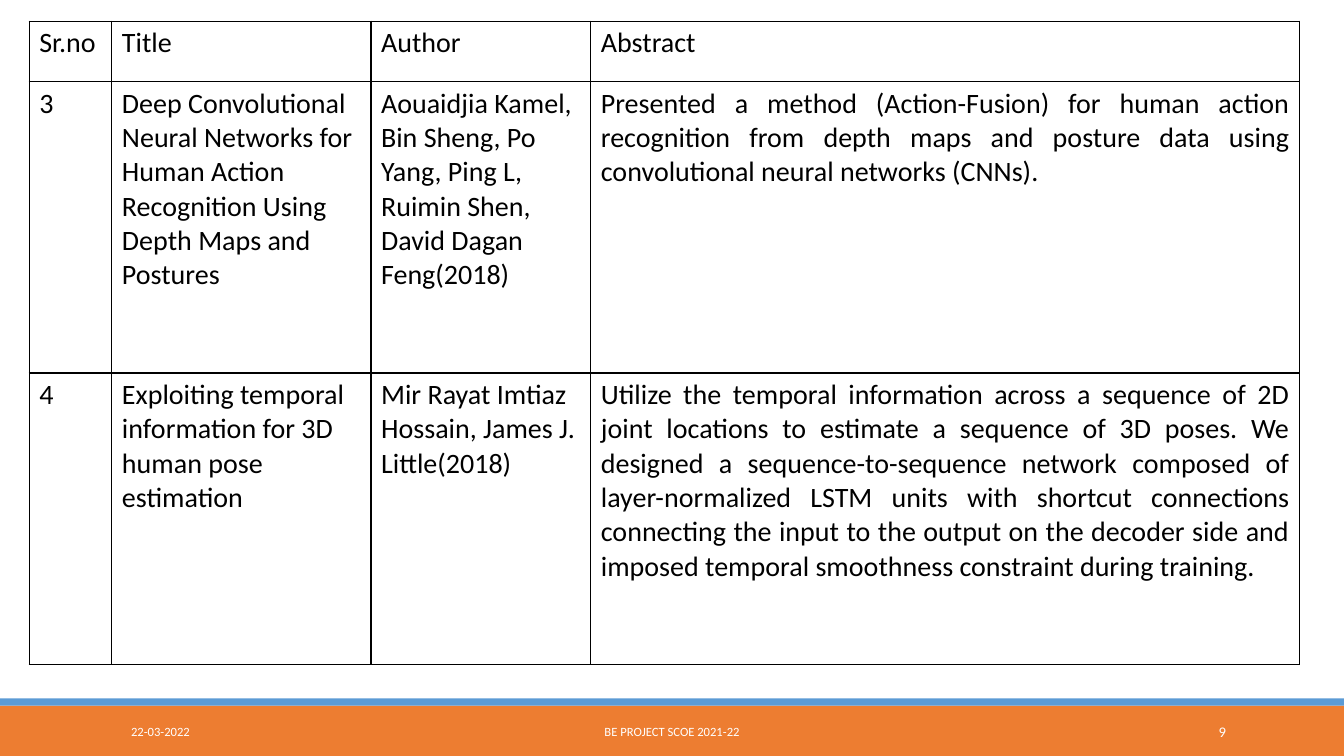
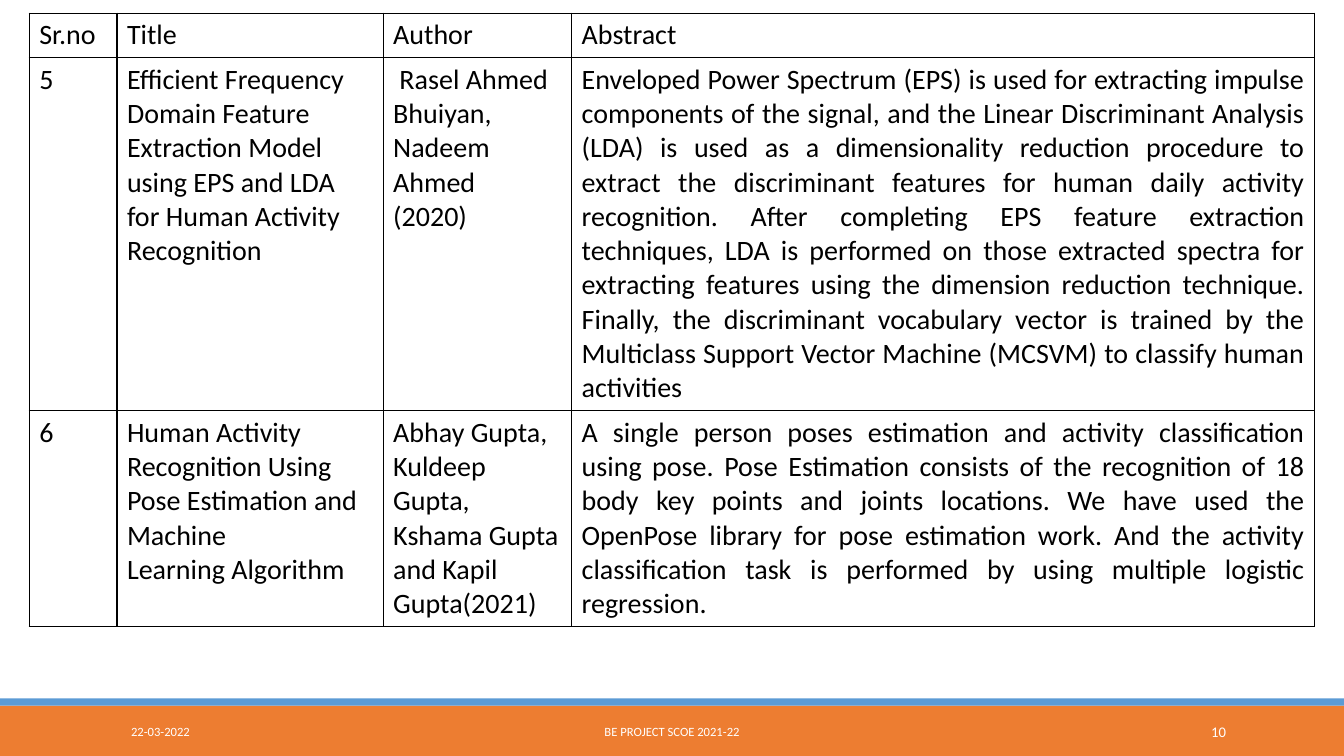
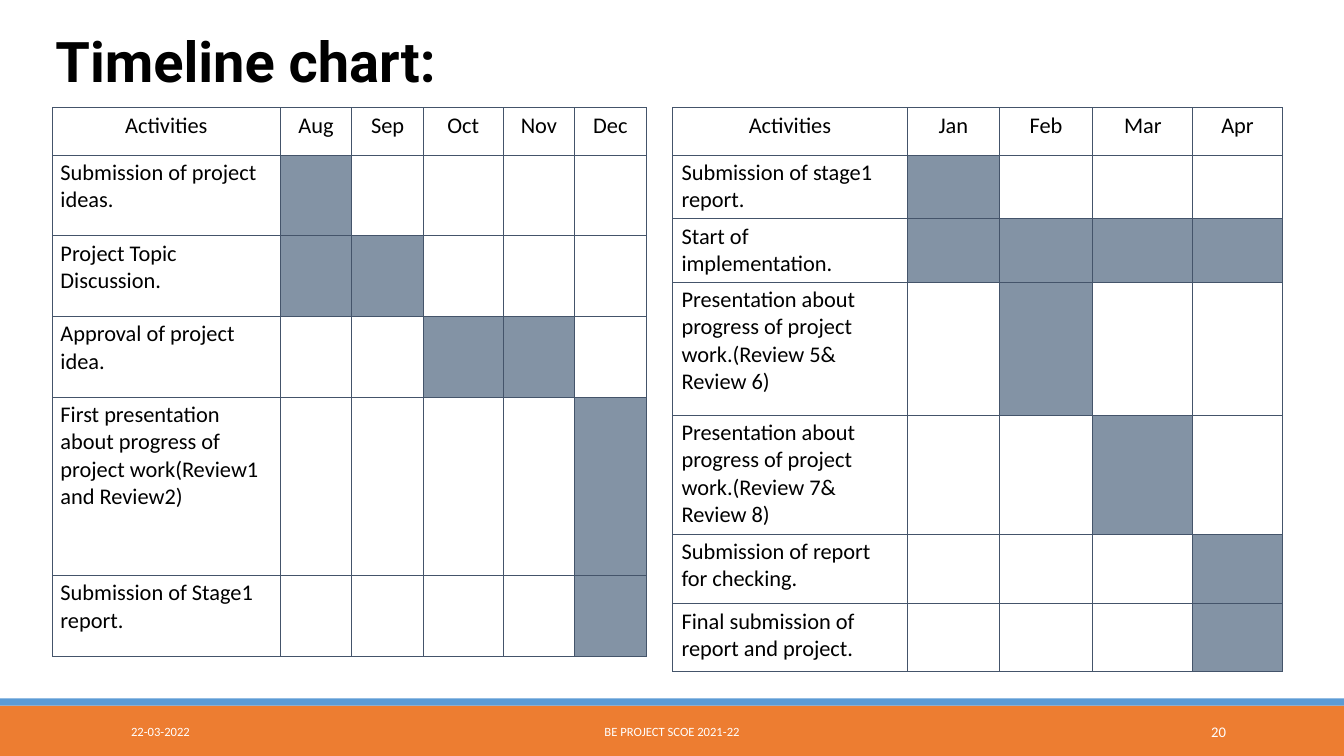
"""Build the literature survey and timeline slides of a project presentation."""
import copy

from lxml import etree
from pptx import Presentation
from pptx.dml.color import RGBColor
from pptx.enum import shapes, text
from pptx.oxml.ns import qn
from pptx.util import Inches, Pt

COLORS = {
    "band": "ED7D31",
    "stripe": "5B9BD5",
    "text": "000000",
    "footer": "FFFFFF",
    "survey_line": "000000",
    "timeline_line": "44546A",
    "busy": "8393A5",
}
ALIGN = text.PP_ALIGN


def style(paragraph, size, color, font="Calibri", align=ALIGN.LEFT, bold=False):
    paragraph.alignment = align
    for run in paragraph.runs:
        run.font.size = Pt(size)
        run.font.name = font
        run.font.bold = bold
        run.font.color.rgb = RGBColor.from_string(COLORS[color])


def add_grid(slide, left, top, widths, heights, line, line_width, margins):
    table = slide.shapes.add_table(
        len(heights), len(widths), Inches(left), Inches(top),
        Inches(sum(widths)), Inches(sum(heights))).table
    table.first_row = table.horz_banding = False
    for column, width in zip(table.columns, widths):
        column.width = Inches(width)
    for row, height in zip(table.rows, heights):
        row.height = Inches(height)
    for cell in table.iter_cells():
        cell.margin_left = cell.margin_right = Inches(margins[0])
        cell.margin_top = cell.margin_bottom = Inches(margins[1])
        properties = cell._tc.get_or_add_tcPr()
        for side in ("a:lnL", "a:lnR", "a:lnT", "a:lnB"):
            border = etree.SubElement(properties, qn(side), w=str(Pt(line_width)))
            fill = etree.SubElement(border, qn("a:solidFill"))
            etree.SubElement(fill, qn("a:srgbClr"), val=COLORS[line])
        cell.fill.background()
    return table


prs = Presentation()
prs.slide_width = Inches(13.33)
prs.slide_height = Inches(7.5)
title_only, blank = prs.slide_layouts[5], prs.slide_layouts[6]

pages = []
for layout, number in ((blank, "9"), (blank, "10"), (title_only, "20")):
    page = prs.slides.add_slide(layout)
    pages.append(page)
    footers = (
        (10, "22-03-2022", 1.2, 2.7, 9, ALIGN.LEFT),
        (11, "BE PROJECT SCOE 2021-22", 4.03, 5.27, 9, ALIGN.CENTER),
        (12, number, 10.83, 1.43, 10.5, ALIGN.RIGHT),
    )
    layout_parts = {part.placeholder_format.idx: part for part in layout.placeholders}
    for idx, words, left, width, size, align in footers:
        page.shapes._spTree.append(copy.deepcopy(layout_parts[idx]._element))
        footer = page.placeholders[idx]
        footer.left, footer.top = Inches(left), Inches(7.06)
        footer.width, footer.height = Inches(width), Inches(0.4)
        footer.text_frame.text = words
        footer.text_frame.vertical_anchor = text.MSO_ANCHOR.MIDDLE
        style(footer.text_frame.paragraphs[0], size, "footer", align=align)

master_tree = prs.slide_master.shapes._spTree
for order, (color, top, height) in enumerate((("band", 7, 0.5), ("stripe", 6.93, 0.07))):
    band = pages[0].shapes.add_shape(
        shapes.MSO_SHAPE.RECTANGLE, 0, Inches(top), prs.slide_width, Inches(height))
    band.shadow.inherit = False
    band.fill.solid()
    band.fill.fore_color.rgb = RGBColor.from_string(COLORS[color])
    band.line.fill.background()
    band._element.nvSpPr.cNvPr.set("id", str(20 + order))
    master_tree.insert(2 + order, band._element)

survey_header = ("Sr.no", "Title", "Author", "Abstract")
surveys = (
    (0.21, (0.82, 2.57, 2.18, 7.03), (0.6, 2.89, 2.89), (
        ("3",
         "Deep Convolutional Neural Networks for Human Action Recognition Using "
         "Depth Maps and Postures",
         "Aouaidjia Kamel, Bin Sheng, Po Yang, Ping L, Ruimin Shen, "
         "David Dagan Feng(2018)",
         "Presented a method (Action-Fusion) for human action recognition from depth "
         "maps and posture data using convolutional neural networks (CNNs)."),
        ("4",
         "Exploiting temporal information for 3D human pose estimation",
         "Mir Rayat Imtiaz Hossain, James J. Little(2018)",
         "Utilize the temporal information across a sequence of 2D joint locations to "
         "estimate a sequence of 3D poses. We designed a sequence-to-sequence network "
         "composed of layer-normalized LSTM units with shortcut connections connecting "
         "the input to the output on the decoder side and imposed temporal smoothness "
         "constraint during training."),
    )),
    (0.13, (0.87, 2.64, 1.87, 7.37), (0.44, 3.5, 2.14), (
        ("5",
         "Efficient Frequency Domain Feature Extraction Model using EPS and LDA for "
         "Human Activity Recognition",
         " Rasel Ahmed Bhuiyan, Nadeem Ahmed\n(2020)",
         "Enveloped Power Spectrum (EPS) is used for extracting impulse components of "
         "the signal, and the Linear Discriminant Analysis (LDA) is used as a "
         "dimensionality reduction procedure to extract the discriminant features for "
         "human daily activity recognition. After completing EPS feature extraction "
         "techniques, LDA is performed on those extracted spectra for extracting "
         "features using the dimension reduction technique. Finally, the discriminant "
         "vocabulary vector is trained by the Multiclass Support Vector Machine (MCSVM) "
         "to classify human activities"),
        ("6",
         "Human Activity Recognition Using Pose Estimation and Machine\n"
         "Learning Algorithm",
         "Abhay Gupta, Kuldeep Gupta, Kshama Gupta and Kapil Gupta(2021)",
         "A single person poses estimation and activity classification using pose. Pose "
         "Estimation consists of the recognition of 18 body key points and joints "
         "locations. We have used the OpenPose library for pose estimation work. And the "
         "activity classification task is performed by using multiple logistic "
         "regression."),
    )),
)
for page, (top, widths, heights, papers) in zip(pages, surveys):
    survey = add_grid(page, 0.29, top, widths, heights, "survey_line", 1, (0.1, 0.05))
    for r, entries in enumerate((survey_header, *papers)):
        for c, entry in enumerate(entries):
            frame = survey.cell(r, c).text_frame
            frame.text = entry
            is_abstract = r > 0 and c == 3
            for paragraph in frame.paragraphs:
                style(paragraph, 20, "text",
                      align=ALIGN.JUSTIFY if is_abstract else ALIGN.LEFT)

timeline_page = pages[2]
heading = timeline_page.shapes.title
heading.left, heading.top = Inches(0.45), Inches(0.21)
heading.width, heading.height = Inches(9.4), Inches(1.44)
heading.text_frame.text = "Timeline chart:"
heading.text_frame.vertical_anchor = text.MSO_ANCHOR.TOP
heading.text_frame.auto_size = text.MSO_AUTO_SIZE.NONE
style(heading.text_frame.paragraphs[0], 40, "text", font="Roboto", bold=True)

timelines = (
    (0.52, 0.08, (2.26, 0.71, 0.71, 0.79, 0.71, 0.71), (0.47, 0.8, 0.8, 0.8, 1.77, 0.8),
     ("Aug", "Sep", "Oct", "Nov", "Dec"), (
         ("Submission of project ideas.", ("Aug",)),
         ("Project Topic Discussion.", ("Aug", "Sep")),
         ("Approval of project idea.", ("Oct", "Nov")),
         ("First presentation about progress of project work(Review1 and Review2)",
          ("Dec",)),
         ("Submission of Stage1 report.", ("Dec",)),
     )),
    (6.67, 0.09, (2.33, 0.91, 0.93, 0.99, 0.89), (0.47, 0.63, 0.63, 1.32, 1.18, 0.69, 0.67),
     ("Jan", "Feb", "Mar", "Apr"), (
         ("Submission of stage1 report.", ("Jan",)),
         ("Start of implementation.", ("Jan", "Feb", "Mar", "Apr")),
         ("Presentation about progress of project work.(Review 5& Review 6)", ("Feb",)),
         ("Presentation about progress of project work.(Review 7& Review 8)", ("Mar",)),
         ("Submission of report for checking.", ("Apr",)),
         ("Final submission of report and project.", ("Apr",)),
     )),
)
for left, side_margin, widths, heights, months, activities in timelines:
    timeline = add_grid(timeline_page, left, 1.07, widths, heights,
                        "timeline_line", 0.75, (side_margin, 0.04))
    for c, label in enumerate(("Activities", *months)):
        frame = timeline.cell(0, c).text_frame
        frame.text = label
        style(frame.paragraphs[0], 16, "text", align=ALIGN.CENTER)
    for r, (activity, busy_months) in enumerate(activities, 1):
        frame = timeline.cell(r, 0).text_frame
        frame.text = activity
        style(frame.paragraphs[0], 16, "text")
        for month in busy_months:
            busy = timeline.cell(r, months.index(month) + 1)
            busy.fill.solid()
            busy.fill.fore_color.rgb = RGBColor.from_string(COLORS["busy"])

prs.save("out.pptx")
